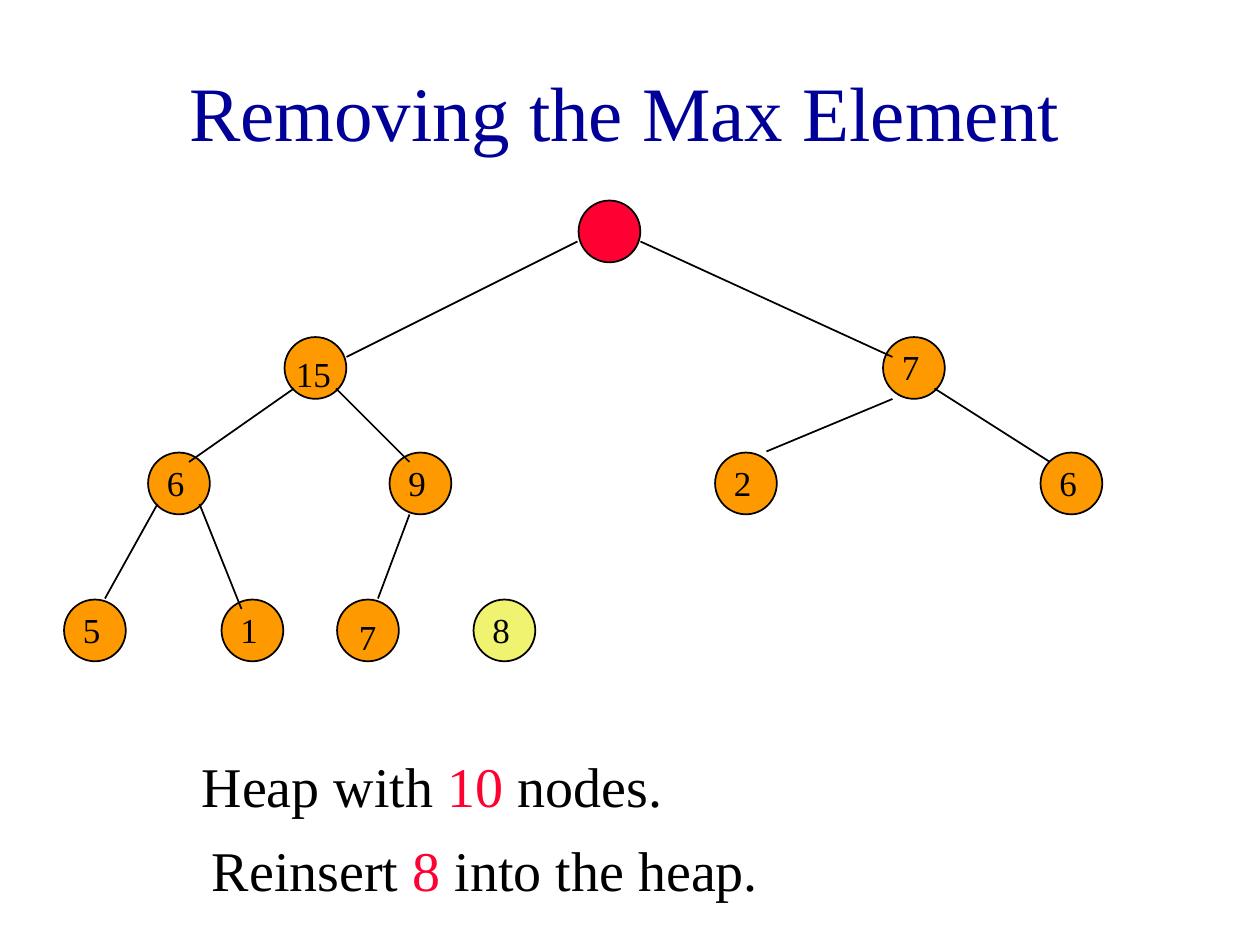
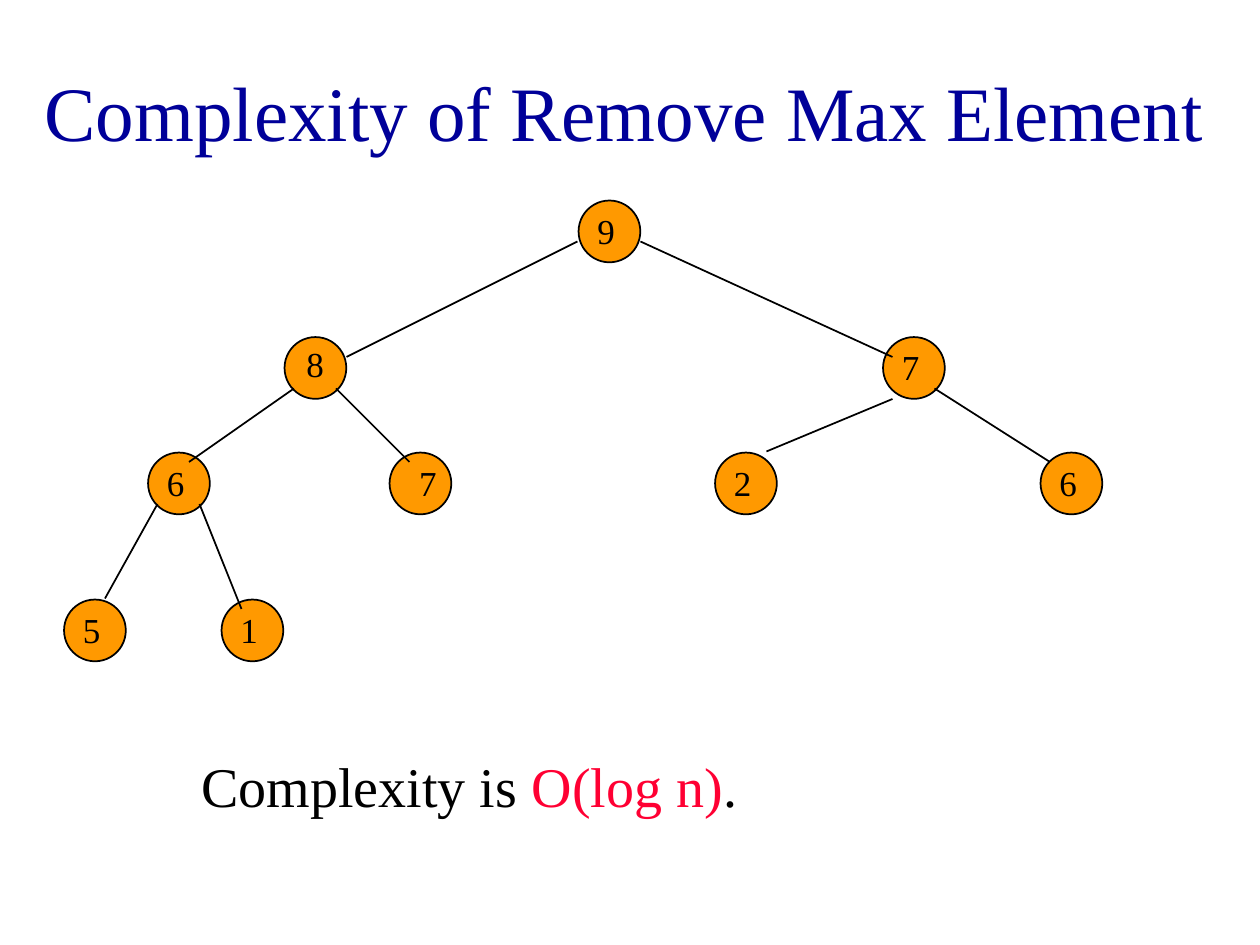
from lxml.etree import SubElement
from pptx import Presentation
from pptx.dml.color import RGBColor
from pptx.enum.shapes import MSO_CONNECTOR, MSO_SHAPE
from pptx.enum.text import MSO_ANCHOR, MSO_AUTO_SIZE, PP_ALIGN
from pptx.oxml.ns import qn
from pptx.util import Inches, Pt

# Shared look
COLORS = {"title": "000099", "text": "000000", "accent": "FF0033",
          "node": "FF9900", "removed": "FF0033", "reinserted": "F0F36F"}
FONT = "Times New Roman"
TITLE_SIZE, NOTE_SIZE, KEY_SIZE = Pt(44), Pt(32), Pt(20)
WIDTH, HEIGHT = Inches(10), Inches(7.5)
CELL = WIDTH / 120  # the grid has 120 columns and 90 rows
FRAME = {"margin_left": Inches(0.1), "margin_right": Inches(0.1),
         "margin_top": Inches(0.05), "margin_bottom": Inches(0.05),
         "auto_size": MSO_AUTO_SIZE.NONE}

# Heap positions as (column, row); L and R give the way down from the root
DIAMETER = 5.88
NODES = {"root": (55, 19), "L": (27, 32), "R": (84, 32),
         "LL": (14, 43), "LR": (37, 43), "RL": (68, 43), "RR": (99, 43),
         "LLL": (6, 57), "LLR": (21, 57), "LRL": (32, 57), "loose": (45, 57)}
EDGES = {"L": (55, 23, 33, 34), "R": (61, 23, 85, 34),
         "LL": (28, 37, 18, 44), "LR": (32, 37, 39, 44),
         "RL": (85, 38, 73, 43), "RR": (89, 37, 100, 44),
         "LLL": (15, 48, 10, 57), "LLR": (19, 48, 23, 58),
         "LRL": (39, 49, 36, 57)}
KEY_OFFSET = (0.72, 0.36)  # from a node's corner to its key, in cells


def grid(*cells):
    return [round(cell * CELL) for cell in cells]


def color(name):
    return RGBColor.from_string(COLORS[name])


def write(frame, runs, size, align=PP_ALIGN.LEFT, anchor=MSO_ANCHOR.TOP, wrap=True):
    """Fill a text frame with one paragraph of (text, colour name) runs."""
    for name, value in {**FRAME, "vertical_anchor": anchor, "word_wrap": wrap}.items():
        setattr(frame, name, value)
    paragraph = frame.paragraphs[0]
    paragraph.alignment = align
    for text, color_name in runs:
        run = paragraph.add_run()
        run.text = text
        run.font.name, run.font.size = FONT, size
        run.font.color.rgb = color(color_name)


def place(shape, box):
    for side, value in zip(("left", "top", "width", "height"), grid(*box)):
        setattr(shape, side, value)


def add_slide(deck, title, note):
    slide = deck.slides.add_slide(deck.slide_layouts[0])
    heading, statement = slide.placeholders
    place(heading, (1, 3, 117, 15))
    write(heading.text_frame, [(title, "title")], TITLE_SIZE,
          PP_ALIGN.CENTER, MSO_ANCHOR.MIDDLE)
    place(statement, (18, 71, 84, 6))
    write(statement.text_frame, note, NOTE_SIZE)
    return slide


def add_node(shapes, position, fill):
    column, row = NODES[position]
    node = shapes.add_shape(MSO_SHAPE.OVAL, *grid(column + 0.1, row + 0.1, DIAMETER, DIAMETER))
    node.shadow.inherit = False
    node.fill.solid()
    node.fill.fore_color.rgb = color(fill)
    node.line.color.rgb = color("text")
    node.line.width = Pt(1)


def add_edge(shapes, ends):
    edge = shapes.add_connector(MSO_CONNECTOR.STRAIGHT, *grid(*ends))
    edge.line.color.rgb = color("text")
    edge.line.width = Pt(1)
    SubElement(edge._element.spPr, qn("a:effectLst"))


def add_key(shapes, position, key, offset):
    column, row = NODES[position]
    box = (column + offset[0], row + offset[1], 2.4 + 1.68 * len(key), 5.16)
    label = shapes.add_textbox(*grid(*box))
    write(label.text_frame, [(key, "text")], KEY_SIZE, wrap=False)


def draw_heap(shapes, keys, fills, offsets):
    """Draw the nodes, then the edges into them, then the keys."""
    for position in keys:
        add_node(shapes, position, fills.get(position, "node"))
    for position, ends in EDGES.items():
        if position in keys:
            add_edge(shapes, ends)
    for position, key in keys.items():
        if key:
            add_key(shapes, position, key, offsets.get(position, KEY_OFFSET))


def main():
    deck = Presentation()
    deck.slide_width, deck.slide_height = WIDTH, HEIGHT
    unchanged = {"R": "7", "LL": "6", "RL": "2", "RR": "6", "LLL": "5", "LLR": "1"}

    # Slide 1: the maximum is gone and 8 waits to be put back
    removing = add_slide(deck, "Removing the Max Element",
                         [("Heap with ", "text"), ("10 ", "accent"), ("nodes.", "text")])
    draw_heap(removing.shapes,
              {"root": "", "L": "15", "LR": "9", **unchanged, "LRL": "7", "loose": "8"},
              {"root": "removed", "loose": "reinserted"},
              {"L": (0, 1), "LRL": (1, 1)})
    reinsert = removing.shapes.add_textbox(*grid(19, 79, 84, 7.5))
    write(reinsert.text_frame,
          [("Reinsert ", "text"), ("8 ", "accent"), ("into the heap.", "text")], NOTE_SIZE)

    # Slide 2: the cost of a removal
    complexity = add_slide(deck, "Complexity of Remove Max Element",
                           [("Complexity is ", "text"), ("O(log n)", "accent"), (".", "text")])
    heap = complexity.shapes.add_group_shape()
    draw_heap(heap.shapes, {"root": "9", "L": "8", "LR": "7", **unchanged},
              {}, {"L": (1, 0), "LR": (1.75, 0.36)})

    deck.save("out.pptx")


if __name__ == "__main__":
    main()
